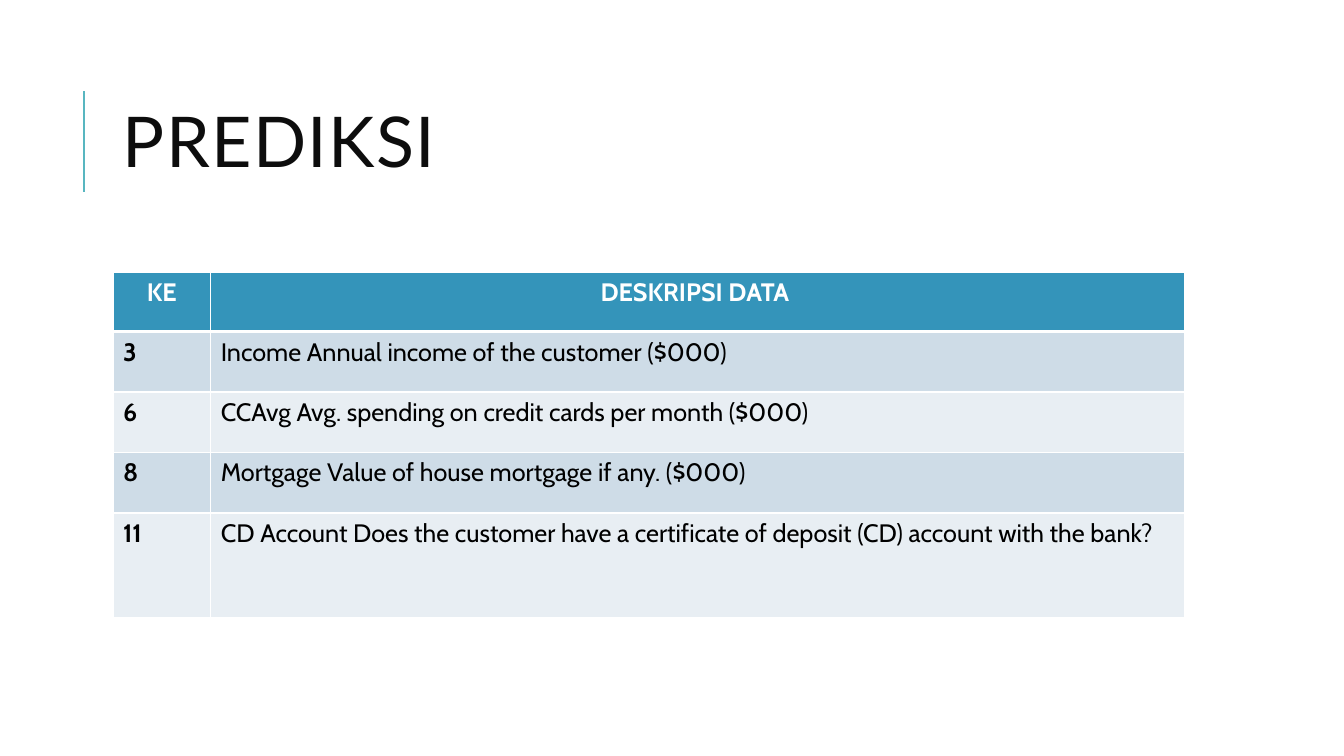
from lxml.etree import SubElement, fromstring
from pptx import Presentation
from pptx.dml.color import RGBColor
from pptx.enum.shapes import MSO_CONNECTOR
from pptx.enum.text import MSO_ANCHOR, PP_ALIGN
from pptx.oxml.ns import nsdecls, qn
from pptx.util import Inches, Pt

WHITE = RGBColor(0xFF, 0xFF, 0xFF)
BLACK = RGBColor(0x00, 0x00, 0x00)
INK = RGBColor(0x0D, 0x0D, 0x0D)
TEAL = RGBColor(0x58, 0xB6, 0xC0)
BLUE = RGBColor(0x34, 0x94, 0xBA)
BANDS = (RGBColor(0xCE, 0xDC, 0xE7), RGBColor(0xE8, 0xEE, 0xF3))

TITLE = {"name": "Lato", "size": Pt(50)}
BODY = {"name": "Cabin", "size": Pt(18)}
COLS = (0.97, 9.66)
HEIGHTS = (0.59, 0.6, 0.6, 0.6, 1.04)
ROWS = (
    ("KE", "DESKRIPSI DATA "),
    ("3", "Income Annual income of the customer ($000) "),
    ("6", "CCAvg Avg. spending on credit cards per month ($000) "),
    ("8", "Mortgage Value of house mortgage if any. ($000) "),
    ("11", "CD Account Does the customer have a certificate of deposit (CD) "
           "account with the bank?"),
)


def write(para, text, color, form):
    """Add a run of text with the given font format."""
    run = para.add_run()
    run.text = text
    for key, value in form.items():
        setattr(run.font, key, value)
    run.font.color.rgb = color
    return run


def edge(cell, widths):
    """Draw white borders on the left, right, top and bottom of a cell."""
    props = cell._tc.get_or_add_tcPr()
    for i, (side, width) in enumerate(zip("LRTB", widths)):
        props.insert(i, fromstring(
            f'<a:ln{side} {nsdecls("a")} w="{Pt(width)}"><a:solidFill>'
            f'<a:srgbClr val="{WHITE}"/></a:solidFill></a:ln{side}>'))


def add_title(slide, left, top, width, height, text):
    """Place the title and the upright rule to its left."""
    x, y = left - 0.29, top + 0.26
    rule = slide.shapes.add_connector(
        MSO_CONNECTOR.STRAIGHT, *map(Inches, (x, y + 1, x, y)))
    rule.line.color.rgb = TEAL
    rule.line.width = Pt(1.5)
    SubElement(rule._element.spPr, qn("a:effectLst"))
    box = slide.shapes.add_textbox(*map(Inches, (left, top, width, height)))
    frame = box.text_frame
    frame.word_wrap = True
    frame.vertical_anchor = MSO_ANCHOR.MIDDLE
    para = frame.paragraphs[0]
    para.line_spacing = 0.8
    run = write(para, text, INK, TITLE)
    run.font._element.set("spc", "100")


def add_grid(slide, left, top, width, height):
    """Place the banded table of data fields."""
    grid = slide.shapes.add_table(
        len(ROWS), len(COLS), *map(Inches, (left, top, width, height))).table
    for col, size in zip(grid.columns, COLS):
        col.width = Inches(size)
    for row, size in zip(grid.rows, HEIGHTS):
        row.height = Inches(size)
    for r, texts in enumerate(ROWS):
        head = r == 0
        for c, text in enumerate(texts):
            cell = grid.cell(r, c)
            cell.fill.solid()
            cell.fill.fore_color.rgb = BLUE if head else BANDS[(r - 1) % 2]
            edge(cell, (1, 1, 3 if r == 1 else 1, 3 if head else 1))
            para = cell.text_frame.paragraphs[0]
            para.alignment = PP_ALIGN.CENTER if head else PP_ALIGN.LEFT
            write(para, text, WHITE if head else BLACK,
                  {**BODY, "bold": head or c == 0})


def main():
    """Build and save the slide."""
    deck = Presentation()
    deck.slide_width, deck.slide_height = Inches(13.33), Inches(7.5)
    slide = deck.slides.add_slide(deck.slide_layouts[6])
    add_title(slide, 1.12, 0.64, 10.63, 1.64, "PREDIKSI")
    add_grid(slide, 1.12, 2.7, sum(COLS), sum(HEIGHTS))
    deck.save("out.pptx")


main()
